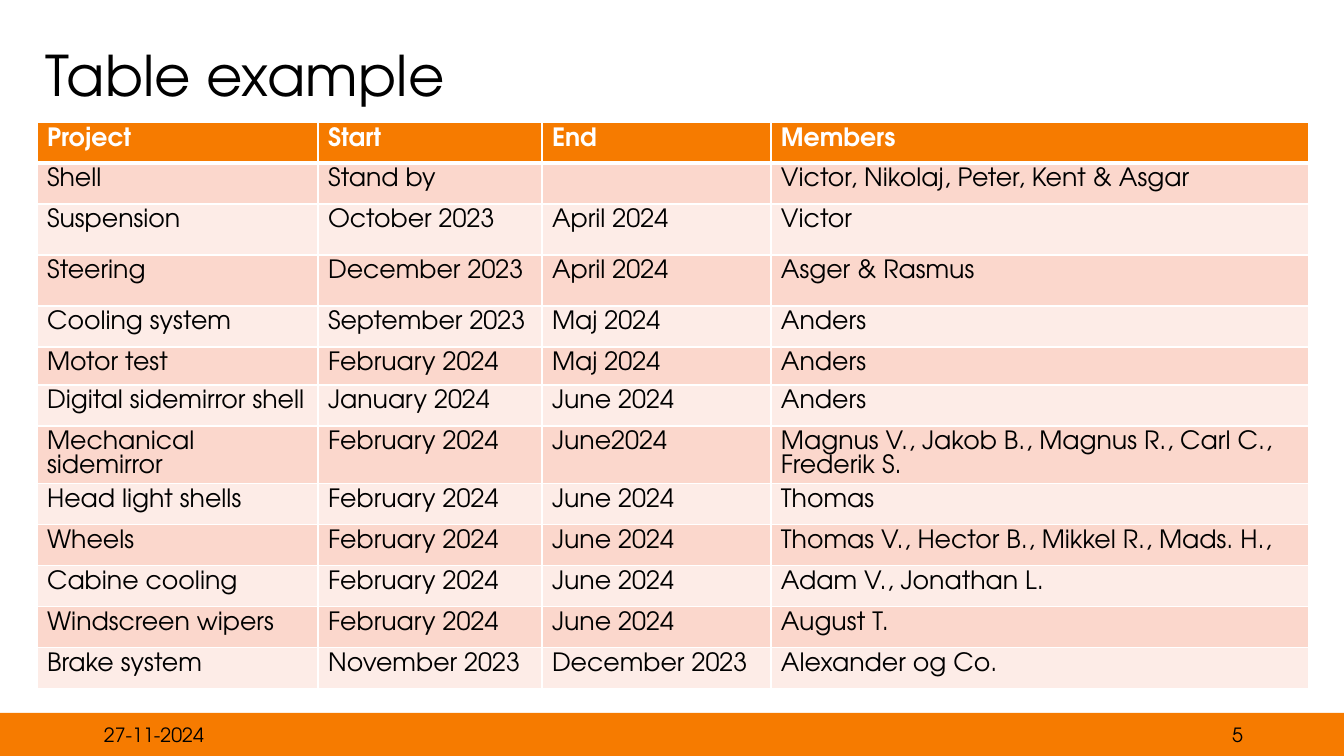
from lxml.etree import SubElement
from pptx import Presentation
from pptx.dml.color import RGBColor
from pptx.enum.shapes import MSO_SHAPE as Preset
from pptx.enum.text import MSO_ANCHOR as Anchor, PP_ALIGN as Align
from pptx.oxml.ns import qn
from pptx.util import Emu, Pt

FONT = "TeX Gyre Adventor"
ORANGE = RGBColor(0xF6, 0x7B, 0x00)
BLACK = RGBColor(0x00, 0x00, 0x00)
WHITE = RGBColor(0xFF, 0xFF, 0xFF)
ROSE = RGBColor(0xFB, 0xD7, 0xCC)
PALE_ROSE = RGBColor(0xFD, 0xEC, 0xE7)

PROJECTS = [
    ("Project", "Start", "End", "Members"),
    ("Shell", "Stand by", "", "Victor, Nikolaj, Peter, Kent & Asgar"),
    ("Suspension", "October 2023", "April 2024", "Victor"),
    ("Steering", "December 2023", "April 2024", "Asger & Rasmus"),
    ("Cooling system", "September 2023", "Maj 2024", "Anders"),
    ("Motor test", "February 2024", "Maj 2024", "Anders"),
    ("Digital sidemirror shell", "January 2024", "June 2024", "Anders"),
    ("Mechanical sidemirror", "February 2024", "June2024",
     "Magnus V., Jakob B., Magnus R., Carl C., Frederik S."),
    ("Head light shells", "February 2024", "June 2024", "Thomas"),
    ("Wheels", "February 2024", "June 2024", "Thomas V., Hector B., Mikkel R., Mads. H.,"),
    ("Cabine cooling", "February 2024", "June 2024", "Adam V., Jonathan L."),
    ("Windscreen wipers", "February 2024", "June 2024", "August T."),
    ("Brake system", "November 2023", "December 2023", "Alexander og Co."),
]
COLUMN_WIDTHS = [281, 224, 229, 538]
ROW_HEIGHT = 41
SPECIAL_HEIGHTS = {2: 51, 3: 51, 5: 38}
LABELS = [
    ("Table example", (36, 5, 1132, 146), 40, Align.LEFT, 0.9),
    ("27-11-2024", (94, 715, 302, 40), 14, Align.LEFT, 1.0),
    ("5", (951, 715, 302, 40), 14, Align.RIGHT, 1.0),
]


def px(length):
    return Emu(round(length * 914400 / 100.8))


def write(paragraph, text, size, color, bold=False):
    run = paragraph.add_run()
    run.text = text
    run.font.name = FONT
    run.font.size = Pt(size)
    run.font.bold = bold
    run.font.color.rgb = color


def add_label(slide, text, place, size, align, spacing):
    frame = slide.shapes.add_textbox(*map(px, place)).text_frame
    frame.word_wrap = True
    frame.vertical_anchor = Anchor.MIDDLE
    paragraph = frame.paragraphs[0]
    paragraph.alignment = align
    paragraph.line_spacing = spacing
    write(paragraph, text, size, BLACK)


def add_borders(cell, widths):
    properties = cell._tc.get_or_add_tcPr()
    for index, (side, width) in enumerate(widths.items()):
        line = properties.makeelement(qn(f"a:{side}"), {"w": str(Pt(width))})
        fill = SubElement(line, qn("a:solidFill"))
        SubElement(fill, qn("a:srgbClr"), val=str(WHITE))
        properties.insert(index, line)


def add_projects(slide):
    heights = [SPECIAL_HEIGHTS.get(row, ROW_HEIGHT) for row in range(len(PROJECTS))]
    place = (37, 122, sum(COLUMN_WIDTHS), sum(heights))
    table = slide.shapes.add_table(
        len(PROJECTS), len(COLUMN_WIDTHS), *map(px, place)).table
    for column, width in zip(table.columns, COLUMN_WIDTHS):
        column.width = px(width)
    for row, (entries, height) in enumerate(zip(PROJECTS, heights)):
        table.rows[row].height = px(height)
        header = row == 0
        background = ORANGE if header else ROSE if row % 2 else PALE_ROSE
        borders = {"lnL": 1, "lnR": 1, "lnT": 3 if row == 1 else 1, "lnB": 3 if header else 1}
        for column, entry in enumerate(entries):
            cell = table.cell(row, column)
            cell.fill.solid()
            cell.fill.fore_color.rgb = background
            add_borders(cell, borders)
            paragraph = cell.text_frame.paragraphs[0]
            paragraph.line_spacing = Pt(17)
            if entry:
                write(paragraph, entry, 18, WHITE if header else BLACK, header)


def main():
    deck = Presentation()
    deck.slide_width, deck.slide_height = px(1344), px(756)
    slide = deck.slides.add_slide(deck.slide_layouts[6])
    footer = slide.shapes.add_shape(Preset.RECTANGLE, *map(px, (0, 713, 1346, 45)))
    footer.shadow.inherit = False
    footer.fill.solid()
    footer.fill.fore_color.rgb = ORANGE
    footer.line.fill.background()
    for label in LABELS:
        add_label(slide, *label)
    add_projects(slide)
    deck.save("out.pptx")


if __name__ == "__main__":
    main()
